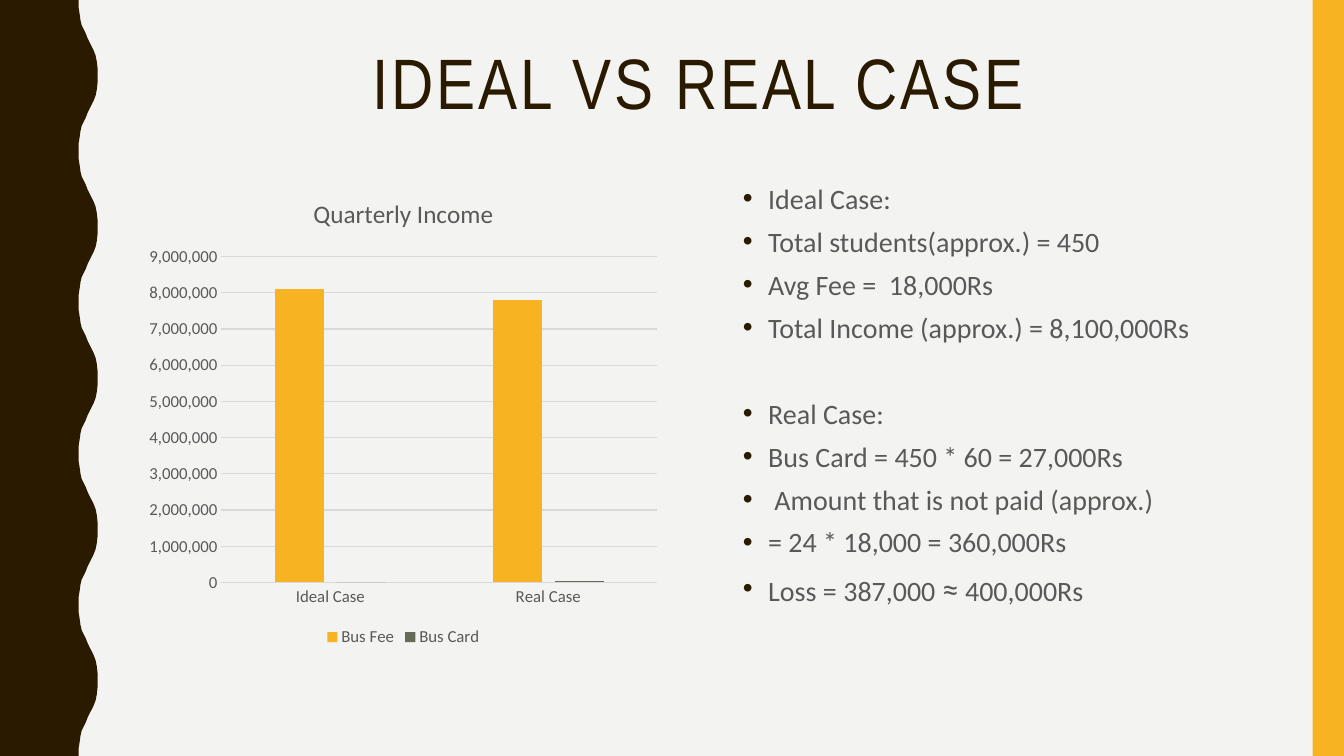
import pptx
import pptx.chart.data
import pptx.dml.color
import pptx.enum.chart
import pptx.enum.shapes
import pptx.enum.text
import pptx.oxml
import pptx.oxml.ns
import pptx.util
from pptx.util import Cm

RGBColor = pptx.dml.color.RGBColor
BACKGROUND = RGBColor(0xF3, 0xF3, 0xF2)
BROWN = RGBColor(0x2A, 0x1A, 0x00)
YELLOW = RGBColor(0xF8, 0xB3, 0x23)
OLIVE = RGBColor(0x65, 0x6A, 0x59)
GRAY = RGBColor(0x59, 0x59, 0x59)
GRID = RGBColor(0xD9, 0xD9, 0xD9)

SLIDE_WIDTH, SLIDE_HEIGHT = 33.87, 19.05
WAVE_COUNT = 5
# Half a wave of the left edge, as (x, y) in centimetres
HALF_WAVE = [(1.98, 0), (1.98, 0.18), (2.01, 0.36), (2.03, 0.51), (2.06, 0.64),
             (2.11, 0.74), (2.16, 0.84), (2.21, 0.97), (2.26, 1.07), (2.31, 1.17),
             (2.36, 1.27), (2.41, 1.4), (2.44, 1.55), (2.46, 1.73), (2.46, 1.9)]

IDEAL_CASE = ["Ideal Case:", "Total students(approx.) = 450", "Avg Fee =  18,000Rs",
              "Total Income (approx.) = 8,100,000Rs"]
REAL_CASE = ["Real Case:", "Bus Card = 450 * 60 = 27,000Rs",
             " Amount that is not paid (approx.)", "= 24 * 18,000 = 360,000Rs",
             "Loss = 387,000 ≈ 400,000Rs"]


def format_font(font, size, color, name="Calibri"):
    font.name = name
    font.size = pptx.util.Pt(size)
    font.bold = False
    font.color.rgb = color


def add_text(paragraph, text, size=20, color=GRAY, name="Calibri", tracking=0):
    run = paragraph.add_run()
    run.text = text
    format_font(run.font, size, color, name)
    if tracking:
        run.font._element.set("spc", str(tracking * 100))


def paint(shape, color):
    shape.shadow.inherit = False
    shape.fill.solid()
    shape.fill.fore_color.rgb = color
    shape.line.fill.background()


def add_wavy_band(slide):
    period = SLIDE_HEIGHT / WAVE_COUNT
    wave = HALF_WAVE + [(x, period - y) for x, y in reversed(HALF_WAVE)]
    edge = [(Cm(x), Cm(number * period + y))
            for number in range(WAVE_COUNT) for x, y in wave]
    builder = slide.shapes.build_freeform(0, 0)
    builder.add_line_segments(edge + [(0, Cm(SLIDE_HEIGHT))], close=True)
    paint(builder.convert_to_shape(), BROWN)


def add_side_bar(slide):
    left = 33.08
    bar = slide.shapes.add_shape(pptx.enum.shapes.MSO_SHAPE.RECTANGLE, Cm(left), 0,
                                 Cm(SLIDE_WIDTH - left), Cm(SLIDE_HEIGHT))
    paint(bar, YELLOW)


def format_title(slide, text):
    title = slide.shapes.title
    title.left, title.top = Cm(3.48), Cm(1.07)
    title.width, title.height = Cm(28.27), Cm(2.97)
    frame = title.text_frame
    frame.auto_size = pptx.enum.text.MSO_AUTO_SIZE.NONE
    frame.vertical_anchor = pptx.enum.text.MSO_ANCHOR.TOP
    paragraph = frame.paragraphs[0]
    paragraph.alignment = pptx.enum.text.PP_ALIGN.CENTER
    paragraph.line_spacing = 0.9
    add_text(paragraph, text, size=51, color=BROWN, name="Arial Narrow", tracking=2)


def add_income_chart(slide):
    data = pptx.chart.data.CategoryChartData(number_format="#,##0")
    data.categories = ["Ideal Case", "Real Case"]
    data.add_series("Bus Fee", [8100000, 7800000])
    data.add_series("Bus Card", [0, 27000])
    chart = slide.shapes.add_chart(
        pptx.enum.chart.XL_CHART_TYPE.COLUMN_CLUSTERED,
        Cm(3.5), Cm(4.45), Cm(13.33), Cm(11.96), data).chart
    format_font(chart.font, 12, GRAY)

    # Title and legend
    chart.has_title = True
    add_text(chart.chart_title.text_frame.paragraphs[0], "Quarterly Income", size=18)
    chart.has_legend = True
    chart.legend.position = pptx.enum.chart.XL_LEGEND_POSITION.BOTTOM
    chart.legend.include_in_layout = False
    format_font(chart.legend.font, 12, GRAY)

    # Columns
    plot = chart.plots[0]
    plot.vary_by_categories = False
    plot.gap_width, plot.overlap = 219, -27
    for series, color in zip(plot.series, (YELLOW, OLIVE)):
        series.format.fill.solid()
        series.format.fill.fore_color.rgb = color

    # Axes
    for axis in (chart.category_axis, chart.value_axis):
        axis.major_tick_mark = pptx.enum.chart.XL_TICK_MARK.NONE
        format_font(axis.tick_labels.font, 12, GRAY)
    value_axis = chart.value_axis
    value_axis.minimum_scale, value_axis.maximum_scale = 0, 9000000
    value_axis.major_unit = 1000000
    value_axis.format.line.fill.background()
    for line in (chart.category_axis.format.line, value_axis.major_gridlines.format.line):
        line.color.rgb = GRID
        line.width = pptx.util.Pt(0.75)


def add_bullet(paragraph):
    properties = paragraph._p.get_or_add_pPr()
    properties.set("marL", str(Cm(0.64)))
    properties.set("indent", str(-Cm(0.64)))
    namespace = pptx.oxml.ns.nsdecls("a")
    for xml in (f'<a:buClr {namespace}><a:srgbClr val="{BROWN}"/></a:buClr>',
                f'<a:buFont {namespace} typeface="Arial"/>',
                f'<a:buChar {namespace} char="•"/>'):
        properties.append(pptx.oxml.parse_xml(xml))


def add_case_list(slide):
    box = slide.shapes.add_textbox(Cm(18.47), Cm(4.45), Cm(13.33), Cm(11.96))
    frame = box.text_frame
    frame.word_wrap = True
    for index, line in enumerate(IDEAL_CASE + REAL_CASE):
        paragraph = frame.add_paragraph() if index else frame.paragraphs[0]
        starts_real_case = index == len(IDEAL_CASE)
        paragraph.space_before = pptx.util.Pt(37.6 if starts_real_case else 6.6)
        add_bullet(paragraph)
        before, sign, after = line.partition("≈")
        add_text(paragraph, before)
        if sign:
            add_text(paragraph, sign, size=24)
            add_text(paragraph, after)


def main():
    presentation = pptx.Presentation()
    presentation.slide_width = Cm(SLIDE_WIDTH)
    presentation.slide_height = Cm(SLIDE_HEIGHT)
    slide = presentation.slides.add_slide(presentation.slide_layouts[5])
    slide.background.fill.solid()
    slide.background.fill.fore_color.rgb = BACKGROUND
    add_wavy_band(slide)
    add_side_bar(slide)
    format_title(slide, "IDEAL VS REAL CASE")
    add_income_chart(slide)
    add_case_list(slide)
    presentation.save("out.pptx")


if __name__ == "__main__":
    main()
